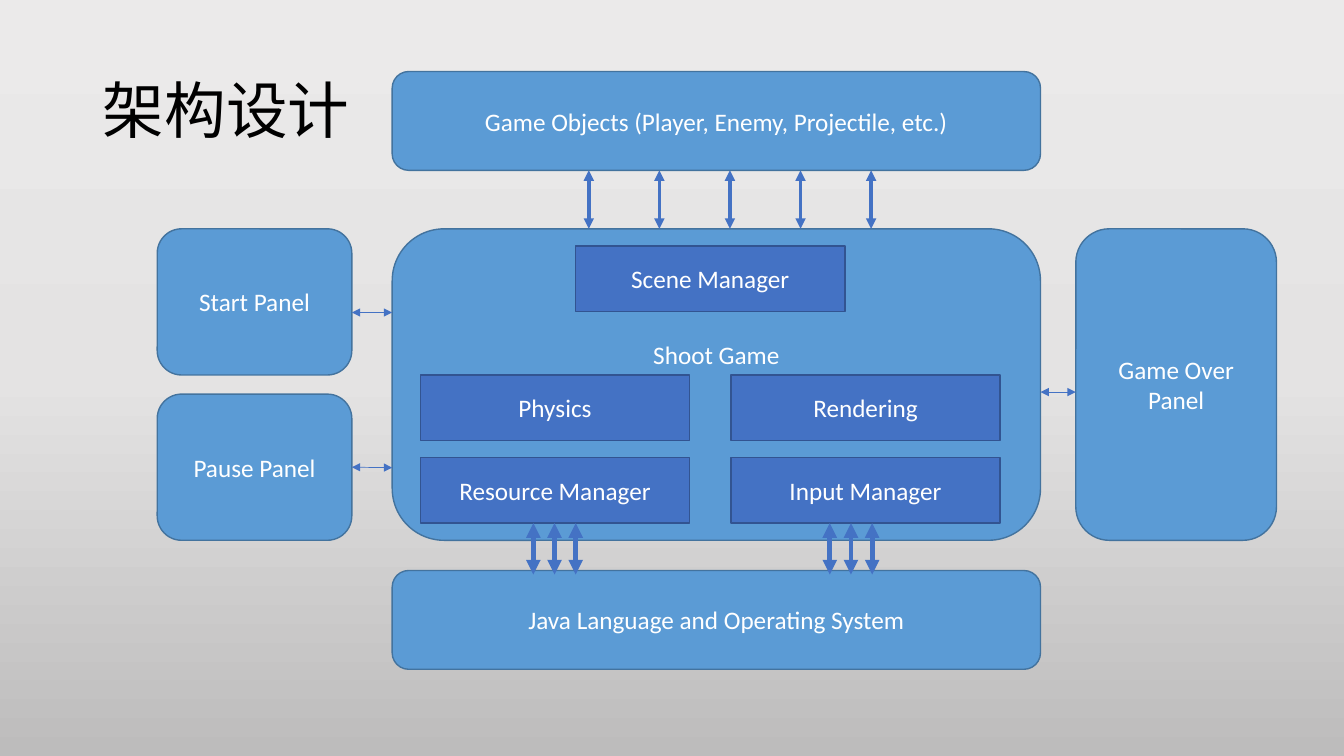
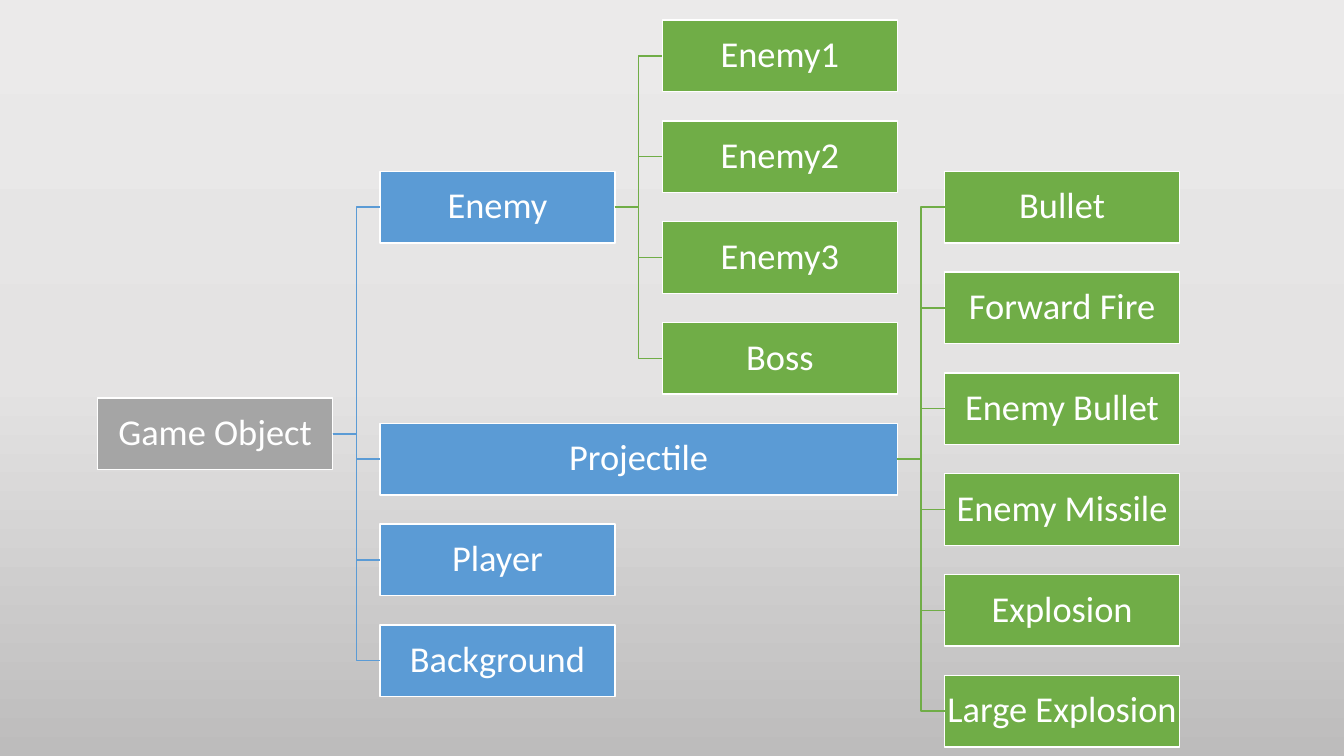
import copy
from dataclasses import dataclass, field

import pptx
import pptx.dml.color
import pptx.enum.shapes
import pptx.enum.text
import pptx.oxml.ns
import pptx.util
from lxml import etree

Inches = pptx.util.Inches
Pt = pptx.util.Pt
qn = pptx.oxml.ns.qn
Shape = pptx.enum.shapes.MSO_SHAPE
Connector = pptx.enum.shapes.MSO_CONNECTOR


@dataclass(frozen=True)
class Theme:
    backdrop: tuple = ((0, "EBEAEA"), (0.5, "E4E3E3"), (1, "BDBCBC"))
    ink: str = "000000"
    paper: str = "FFFFFF"
    blue: str = "5B9BD5"
    blue_edge: str = "43739E"
    indigo: str = "4472C4"
    indigo_edge: str = "325491"
    grey: str = "A5A5A5"
    green: str = "70AD47"
    font: str = "Calibri"
    title_font: str = "Noto Sans CJK SC"
    title_size: int = 44
    label_size: int = 18
    tree_size: int = 26


THEME = Theme()


@dataclass(frozen=True)
class Box:
    left: float
    top: float
    width: float
    height: float

    @property
    def right(self):
        return self.left + self.width

    @property
    def bottom(self):
        return self.top + self.height

    def inner(self, dx, dy, width, height):
        return Box(self.left + dx, self.top + dy, width, height)

    def lengths(self):
        return [Inches(v) for v in (self.left, self.top, self.width, self.height)]


@dataclass
class Node:
    """A box of the tree; a parent stands midway between its outer children."""
    name: str
    leaf_row: float = 0
    children: list = field(default_factory=list)
    span: int = 1

    @property
    def row(self):
        if not self.children:
            return self.leaf_row
        return (self.children[0].row + self.children[-1].row) / 2


def rgb(colour):
    return pptx.dml.color.RGBColor.from_string(colour)


def set_backdrop(master):
    fill = master.background.fill
    fill.gradient()
    fill.gradient_angle = 270
    stops = master.element.find(".//" + qn("a:gsLst"))
    stops.append(copy.deepcopy(stops[0]))
    for stop, (position, colour) in zip(fill.gradient_stops, THEME.backdrop):
        stop.position = position
        stop.color.rgb = rgb(colour)


def style_text(paragraph, font, size, colour):
    for run in paragraph.runs:
        run.font.name = font
        run.font.size = Pt(size)
        run.font.color.rgb = rgb(colour)


def add_title(slide, text, box):
    title = slide.shapes.title
    title.left, title.top, title.width, title.height = box.lengths()
    title.text_frame.text = text
    title.text_frame.vertical_anchor = pptx.enum.text.MSO_ANCHOR.MIDDLE
    paragraph = title.text_frame.paragraphs[0]
    paragraph.alignment = pptx.enum.text.PP_ALIGN.LEFT
    paragraph.line_spacing = 0.9
    style_text(paragraph, THEME.title_font, THEME.title_size, THEME.ink)
    properties = paragraph.runs[0].font._element
    etree.SubElement(properties, qn("a:ea"), typeface=THEME.title_font)


def add_label_box(slide, box, text, kind, fill, edge, size=THEME.label_size):
    shape = slide.shapes.add_shape(kind, *box.lengths())
    shape.shadow.inherit = False
    shape.fill.solid()
    shape.fill.fore_color.rgb = rgb(fill)
    shape.line.color.rgb = rgb(edge)
    shape.line.width = Pt(1)
    frame = shape.text_frame
    frame.text = text
    frame.word_wrap = True
    frame.vertical_anchor = pptx.enum.text.MSO_ANCHOR.MIDDLE
    frame.paragraphs[0].alignment = pptx.enum.text.PP_ALIGN.CENTER
    style_text(frame.paragraphs[0], THEME.font, size, THEME.paper)
    return shape


def add_line(slide, kind, start, end, colour, width):
    line = slide.shapes.add_connector(kind, *[Inches(v) for v in (*start, *end)])
    line.line.color.rgb = rgb(colour)
    line.line.width = Pt(width)
    etree.SubElement(line._element.spPr, qn("a:effectLst"))
    return line


def add_double_arrow(slide, start, end, width):
    arrow = add_line(slide, Connector.STRAIGHT, start, end, THEME.indigo, width)
    outline = arrow.line._get_or_add_ln()
    for tip in ("a:headEnd", "a:tailEnd"):
        etree.SubElement(outline, qn(tip), type="triangle")
    return arrow


def add_arrow_row(slide, left, gap, count, top, bottom, width):
    for i in range(count):
        x = left + i * gap
        add_double_arrow(slide, (x, top), (x, bottom), width)


def add_block(slide, box, text):
    return add_label_box(slide, box, text, Shape.ROUNDED_RECTANGLE,
                         THEME.blue, THEME.blue_edge)


def draw_core(slide, box):
    """Draw the game core with its modules and their arrows to the layer below."""
    core = add_block(slide, box, "Shoot Game")
    core.text_frame.margin_bottom = Inches(0.65)
    modules = (
        ("Scene Manager", 1.82, 0.17),
        ("Physics", 0.28, 1.45),
        ("Rendering", 3.36, 1.45),
        ("Resource Manager", 0.28, 2.27),
        ("Input Manager", 3.36, 2.27),
    )
    for name, dx, dy in modules:
        add_label_box(slide, box.inner(dx, dy, 2.67, 0.65), name,
                      Shape.RECTANGLE, THEME.indigo, THEME.indigo_edge)
    for dx in (1.4, 4.34):
        add_arrow_row(slide, box.left + dx, 0.21, 3,
                      box.top + 2.92, box.bottom + 0.34, 3.5)


def draw_panels(slide, box, core):
    """Draw the panels beside the core, each with an arrow to it."""
    start = box.inner(0, 0, 1.93, 1.45)
    pause = box.inner(0, 1.64, 1.93, 1.45)
    game_over = box.inner(9.11, 0, 1.99, 3.09)
    add_block(slide, start, "Start Panel")
    pause_panel = add_block(slide, pause, "Pause Panel")
    add_block(slide, game_over, "Game Over Panel")

    def link(left, right, dy):
        y = box.top + dy
        return add_double_arrow(slide, (left, y), (right, y), 0.5)

    link(start.right, core.left, 0.83)
    link(pause.right, core.left, 2.37).begin_connect(pause_panel, 3)
    link(core.right, game_over.left, 1.62)


def draw_architecture(slide, box):
    objects = box.inner(2.33, 0, 6.43, 0.98)
    core = box.inner(2.33, 1.56, 6.43, 3.09)
    platform = box.inner(2.33, 4.95, 6.43, 0.98)
    add_block(slide, platform, "Java Language and Operating System")
    draw_core(slide, core)
    add_block(slide, objects, "Game Objects (Player, Enemy, Projectile, etc.)")
    add_arrow_row(slide, objects.left + 1.95, 0.7, 5, objects.bottom, core.top, 2.5)
    draw_panels(slide, box.inner(0, 1.56, box.width, core.height), core)


def draw_tree(slide, box, node, depth=0, column=0):
    """Draw a node and its descendants, and return the node's shape."""
    column_step, row_step, width, height = 2.8, 1, 2.33, 0.71
    level_fills = (THEME.grey, THEME.blue, THEME.green)
    place = box.inner(column * column_step, node.row * row_step,
                      width + (node.span - 1) * column_step, height)
    parent = add_label_box(slide, place, node.name, Shape.RECTANGLE,
                           level_fills[depth], THEME.paper, THEME.tree_size)
    frame = parent.text_frame
    frame.margin_left = frame.margin_right = Inches(0.02)
    frame.margin_top = frame.margin_bottom = Inches(0.02)
    frame.paragraphs[0].line_spacing = 0.9
    for child_node in node.children:
        child = draw_tree(slide, box, child_node, depth + 1, column + node.span)
        branch = add_line(slide, Connector.ELBOW, (0, 0), (0, 0),
                          level_fills[depth + 1], 1)
        branch.begin_connect(parent, 3)
        branch.end_connect(child, 1)
    return parent


def leaves(first_row, *names):
    return [Node(name, first_row + i) for i, name in enumerate(names)]


def build_architecture_slide(deck):
    slide = deck.slides.add_slide(deck.slide_layouts[5])
    add_title(slide, "架构设计", Box(0.92, 0.4, 11.5, 1.45))
    draw_architecture(slide, Box(1.56, 0.71, 11.1, 5.93))


def build_tree_slide(deck):
    slide = deck.slides.add_slide(deck.slide_layouts[6])
    enemy = Node("Enemy", children=leaves(0, "Enemy1", "Enemy2", "Enemy3", "Boss"))
    projectile = Node("Projectile", span=2, children=leaves(
        1.5, "Bullet", "Forward Fire", "Enemy Bullet", "Enemy Missile",
        "Explosion", "Large Explosion"))
    root = Node("Game Object", children=[
        enemy, projectile, *leaves(5, "Player", "Background")])
    draw_tree(slide, Box(0.97, 0.2, 10.73, 7.21), root)


def main():
    deck = pptx.Presentation()
    deck.slide_width, deck.slide_height = Inches(13.33), Inches(7.5)
    set_backdrop(deck.slide_master)
    build_architecture_slide(deck)
    build_tree_slide(deck)
    deck.save("out.pptx")


if __name__ == "__main__":
    main()
